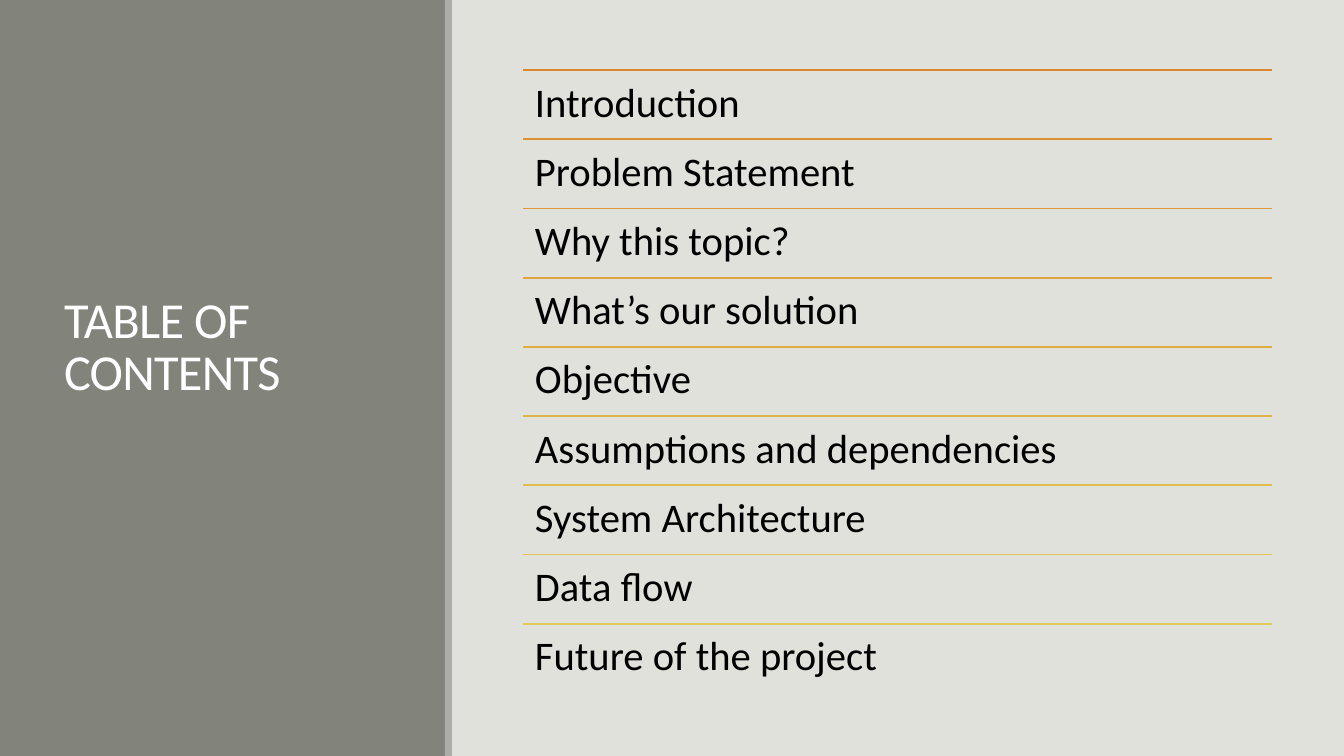
import colorsys

from pptx import Presentation
from pptx import util as u
from pptx.dml.color import RGBColor
from pptx.enum import shapes, text
from pptx.oxml.ns import qn

EMU_PER_PX = 914400 / 100.8
PAGE_WIDTH, PAGE_HEIGHT = 1344, 756
FONT = "Calibri"

PAPER = RGBColor(0xE1, 0xE1, 0xDB)
PANEL = RGBColor(0x82, 0x84, 0x7C)
STRIP = RGBColor(0xAC, 0xAD, 0xA8)
WHITE = RGBColor(0xFF, 0xFF, 0xFF)
BLACK = RGBColor(0x00, 0x00, 0x00)
ORANGE = RGBColor(0xDB, 0x86, 0x31)
YELLOW = RGBColor(0xE3, 0xCC, 0x5A)

TOPICS = [
    "Introduction",
    "Problem Statement",
    "Why this topic?",
    "What’s our solution",
    "Objective",
    "Assumptions and dependencies",
    "System Architecture",
    "Data flow",
    "Future of the project",
]
LIST_LEFT, LIST_RIGHT = 523, 1272
LIST_TOP, LIST_BOTTOM = 70, 693


def px(length):
    return u.Emu(round(length * EMU_PER_PX))


def blend(start, end, share):
    """Mix two colours along hue, saturation and value."""
    first, last = (colorsys.rgb_to_hsv(*(c / 255 for c in color))
                   for color in (start, end))
    mixed = (a + (b - a) * share for a, b in zip(first, last))
    return RGBColor(*(round(c * 255) for c in colorsys.hsv_to_rgb(*mixed)))


def add_bar(page, left, width, color):
    bar = page.shapes.add_shape(shapes.MSO_SHAPE.RECTANGLE, px(left), 0,
                                px(width), px(PAGE_HEIGHT))
    bar.shadow.inherit = False
    bar.fill.solid()
    bar.fill.fore_color.rgb = color
    bar.line.fill.background()


def add_text(page, words, place, margins, size, color, spacing,
             anchor=text.MSO_ANCHOR.TOP):
    box = page.shapes.add_textbox(*(px(length) for length in place))
    frame = box.text_frame
    frame.word_wrap = True
    frame.vertical_anchor = anchor
    (frame.margin_left, frame.margin_top,
     frame.margin_right, frame.margin_bottom) = (px(m) for m in margins)
    frame.text = words
    para = frame.paragraphs[0]
    para.line_spacing = spacing
    span = para.runs[0]
    span.font.name = FONT
    span.font.size = u.Pt(size)
    span.font.color.rgb = color
    return span


def add_rule(page, top, color):
    rule = page.shapes.add_connector(shapes.MSO_CONNECTOR.STRAIGHT, px(LIST_LEFT),
                                     px(top), px(LIST_RIGHT), px(top))
    rule.line.color.rgb = color
    rule.line.width = u.Pt(1.25)
    properties = rule._element.spPr
    properties.append(properties.makeelement(qn("a:effectLst"), {}))


def main():
    deck = Presentation()
    deck.slide_width, deck.slide_height = px(PAGE_WIDTH), px(PAGE_HEIGHT)
    page = deck.slides.add_slide(deck.slide_layouts[6])
    page.background.fill.solid()
    page.background.fill.fore_color.rgb = PAPER

    # Title panel; the deep bottom margin lifts the title above the middle
    add_bar(page, 0, 446, PANEL)
    title = add_text(page, "TABLE OF CONTENTS", (54, 57, 340, 636),
                     (10, 5, 10, 57), 36, WHITE, 0.85, text.MSO_ANCHOR.MIDDLE)
    title.font._element.set("spc", "-50")
    add_bar(page, 445, 7, STRIP)

    # Contents list, one ruled row per topic
    row_height = (LIST_BOTTOM - LIST_TOP) / len(TOPICS)
    for index, topic in enumerate(TOPICS):
        top = LIST_TOP + index * row_height
        add_rule(page, top, blend(ORANGE, YELLOW, index / (len(TOPICS) - 1)))
        add_text(page, topic, (LIST_LEFT, top, LIST_RIGHT - LIST_LEFT, row_height),
                 (12, 12, 12, 12), 29, BLACK, 0.9)

    deck.save("out.pptx")


if __name__ == "__main__":
    main()
